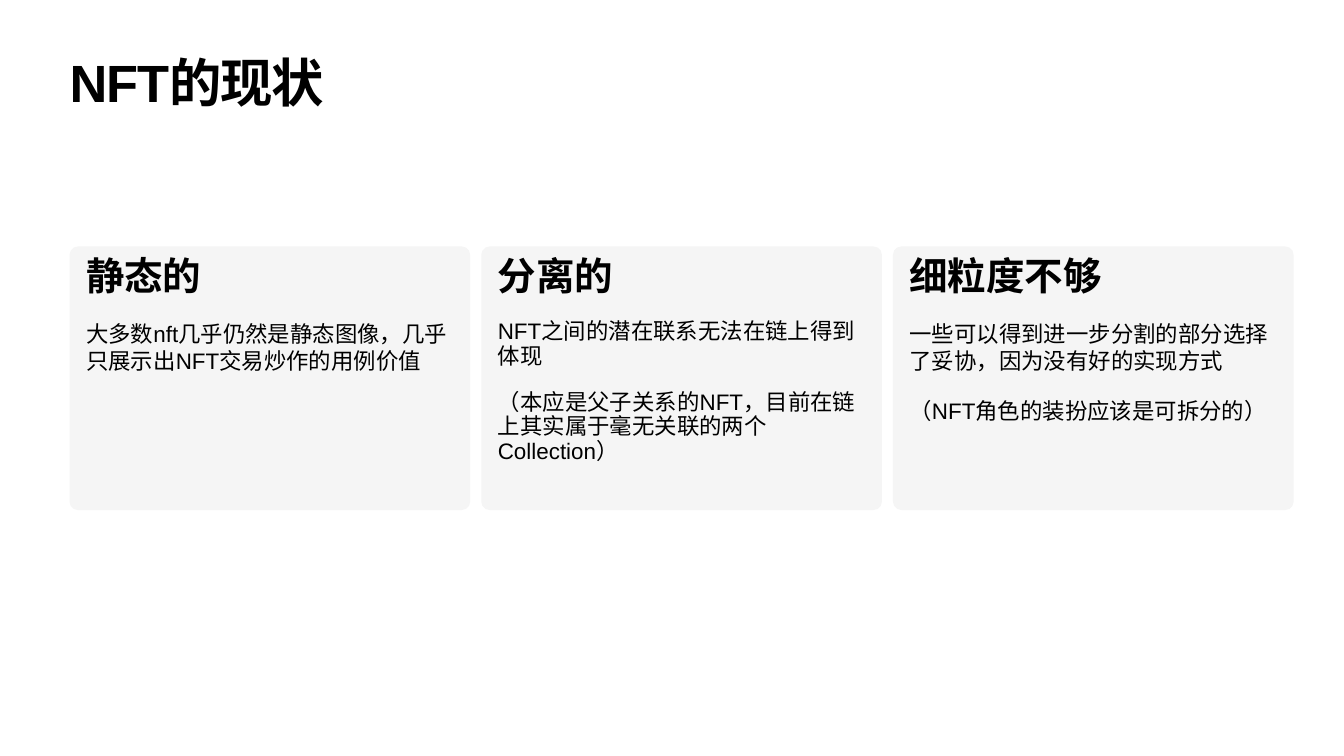
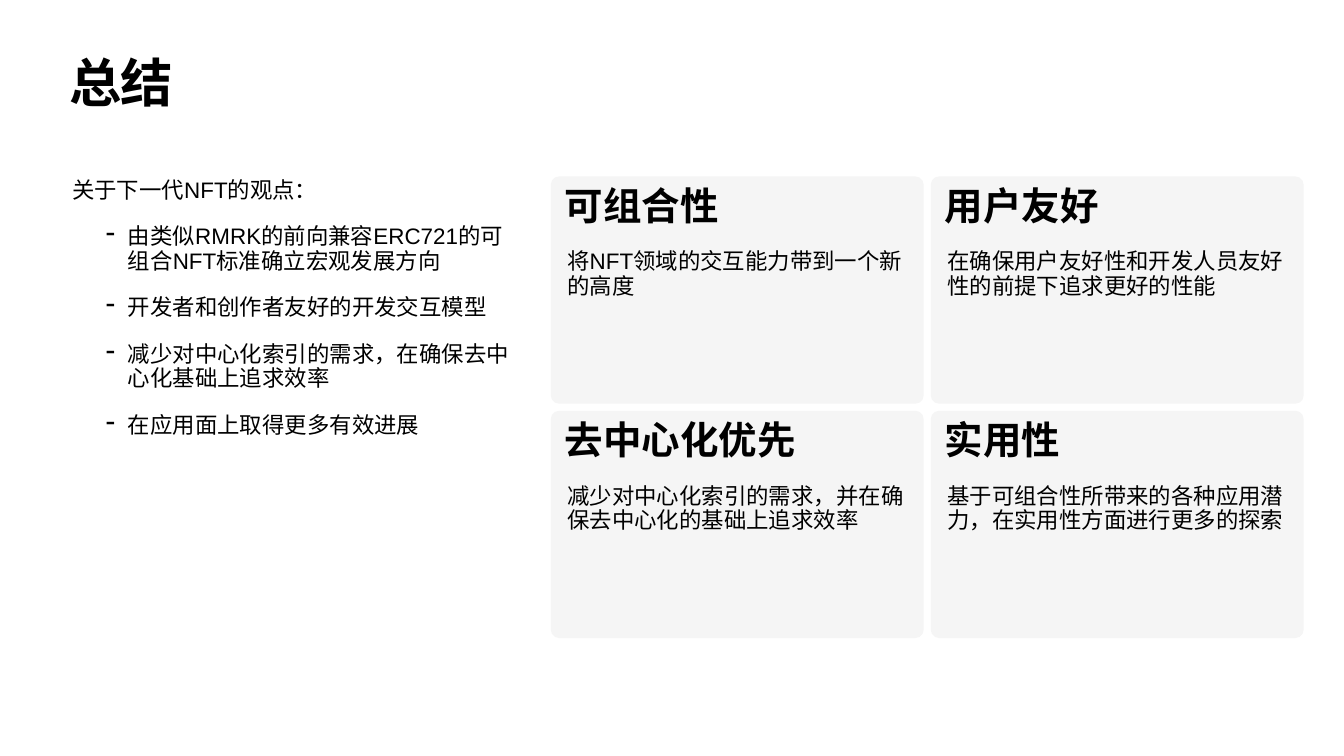
from lxml import etree
from pptx import Presentation
from pptx.dml.color import RGBColor
from pptx.enum.shapes import MSO_SHAPE
from pptx.enum.text import MSO_ANCHOR, MSO_AUTO_SIZE, PP_ALIGN
from pptx.oxml.ns import qn
from pptx.util import Inches, Pt

ROUNDED = MSO_SHAPE.ROUNDED_RECTANGLE
TOP, LEFT, NO_FIT = MSO_ANCHOR.TOP, PP_ALIGN.LEFT, MSO_AUTO_SIZE.NONE

# Content: each card is (heading, line spacing of the body, body paragraphs)
STATUS_TITLE = "NFT的现状"
STATUS_CARDS = [
    ("静态的", 1.0, ["大多数nft几乎仍然是静态图像，几乎只展示出NFT交易炒作的用例价值"]),
    ("分离的", 0.9, ["NFT之间的潜在联系无法在链上得到体现",
                  "（本应是父子关系的NFT，目前在链上其实属于毫无关联的两个Collection）"]),
    ("细粒度不够", 1.0, ["一些可以得到进一步分割的部分选择了妥协，因为没有好的实现方式",
                    "（NFT角色的装扮应该是可拆分的）"]),
]
SUMMARY_TITLE = "总结"
SUMMARY_LEAD = "关于下一代NFT的观点："
SUMMARY_POINTS = [
    "由类似RMRK的前向兼容ERC721的可组合NFT标准确立宏观发展方向",
    "开发者和创作者友好的开发交互模型",
    "减少对中心化索引的需求，在确保去中心化基础上追求效率",
    "在应用面上取得更多有效进展",
]
SUMMARY_CARDS = [
    ("可组合性", 0.9, ["将NFT领域的交互能力带到一个新的高度"]),
    ("用户友好", 0.9, ["在确保用户友好性和开发人员友好性的前提下追求更好的性能"]),
    ("去中心化优先", 0.9, ["减少对中心化索引的需求，并在确保去中心化的基础上追求效率"]),
    ("实用性", 0.9, ["基于可组合性所带来的各种应用潜力，在实用性方面进行更多的探索"]),
]

# Shared style
BLACK = RGBColor(0x00, 0x00, 0x00)
WHITE = RGBColor(0xFF, 0xFF, 0xFF)
CARD_GREY = RGBColor(0xF5, 0xF5, 0xF5)
FONT = "Arial"
TITLE_SIZE, HEADING_SIZE, BODY_SIZE = 74.8, 55, 32
INSET = 0.06
CORNER = 0.25
TEXT_INDENT = (0.22, 0)
HEADING_INDENT = (0, 0.17)
BULLET_INDENT = (1.33, -0.44)


def prepare_frame(frame):
    frame.word_wrap = True
    frame.auto_size = NO_FIT
    frame.vertical_anchor = TOP
    frame.margin_left = frame.margin_right = Inches(INSET)
    frame.margin_top = frame.margin_bottom = Inches(INSET)


def add_para(frame, text, size, bold=False, indent=(0, 0), spacing=1.0, bullet=False):
    first = not frame.paragraphs[0].runs
    para = frame.paragraphs[0] if first else frame.add_paragraph()
    properties = para._p.get_or_add_pPr()
    margin, hanging = indent
    properties.set("marL", str(Inches(margin)))
    properties.set("indent", str(Inches(hanging)))
    if bullet:
        para.level = 1
        etree.SubElement(properties, qn("a:buSzPct"), val="123000")
        etree.SubElement(properties, qn("a:buChar"), char="-")
    para.alignment = LEFT
    para.line_spacing = spacing
    para.space_before = Pt(0 if first else BODY_SIZE)
    span = para.add_run()
    span.text = text
    span.font.name, span.font.size, span.font.bold = FONT, Pt(size), bold
    span.font.color.rgb = BLACK
    return span


def add_page(deck, title):
    page = deck.slides.add_slide(deck.slide_layouts[5])
    page.background.fill.solid()
    page.background.fill.fore_color.rgb = WHITE
    box = page.shapes.title
    box.left, box.top = Inches(1.32), Inches(1.18)
    box.width, box.height = Inches(24.03), Inches(1.57)
    prepare_frame(box.text_frame)
    span = add_para(box.text_frame, title, TITLE_SIZE, bold=True, spacing=0.8)
    span.font._element.set("spc", "-150")
    return page


def add_cards(page, cards, columns, origin, size, gap, heading_indent):
    width, height = size
    for index, (heading, spacing, body) in enumerate(cards):
        row, column = divmod(index, columns)
        card = page.shapes.add_shape(
            ROUNDED,
            Inches(origin[0] + column * (width + gap)),
            Inches(origin[1] + row * (height + gap)),
            Inches(width), Inches(height))
        card.adjustments[0] = CORNER * 2 / 3 / min(size)
        card.shadow.inherit = False
        card.fill.solid()
        card.fill.fore_color.rgb = CARD_GREY
        card.line.fill.background()
        frame = card.text_frame
        prepare_frame(frame)
        add_para(frame, heading, HEADING_SIZE, bold=True, indent=heading_indent)
        for text in body:
            add_para(frame, text, BODY_SIZE, indent=TEXT_INDENT, spacing=spacing)


def add_viewpoints(page):
    box = page.shapes.add_textbox(Inches(1.15), Inches(3.49), Inches(9.27), Inches(9.18))
    frame = box.text_frame
    prepare_frame(frame)
    add_para(frame, SUMMARY_LEAD, BODY_SIZE, indent=TEXT_INDENT, spacing=0.9)
    for point in SUMMARY_POINTS:
        add_para(frame, point, BODY_SIZE, indent=BULLET_INDENT, spacing=0.9, bullet=True)


def main():
    deck = Presentation()
    deck.slide_width, deck.slide_height = Inches(26.67), Inches(15)

    # Current state: one row of three cards
    status = add_page(deck, STATUS_TITLE)
    add_cards(status, STATUS_CARDS, 3, (1.38, 4.89), (7.95, 5.23), 0.22, TEXT_INDENT)

    # Summary: viewpoints beside a two-by-two grid
    summary = add_page(deck, SUMMARY_TITLE)
    add_viewpoints(summary)
    add_cards(summary, SUMMARY_CARDS, 2, (10.93, 3.5), (7.4, 4.51), 0.14, HEADING_INDENT)

    deck.save("out.pptx")


if __name__ == "__main__":
    main()
